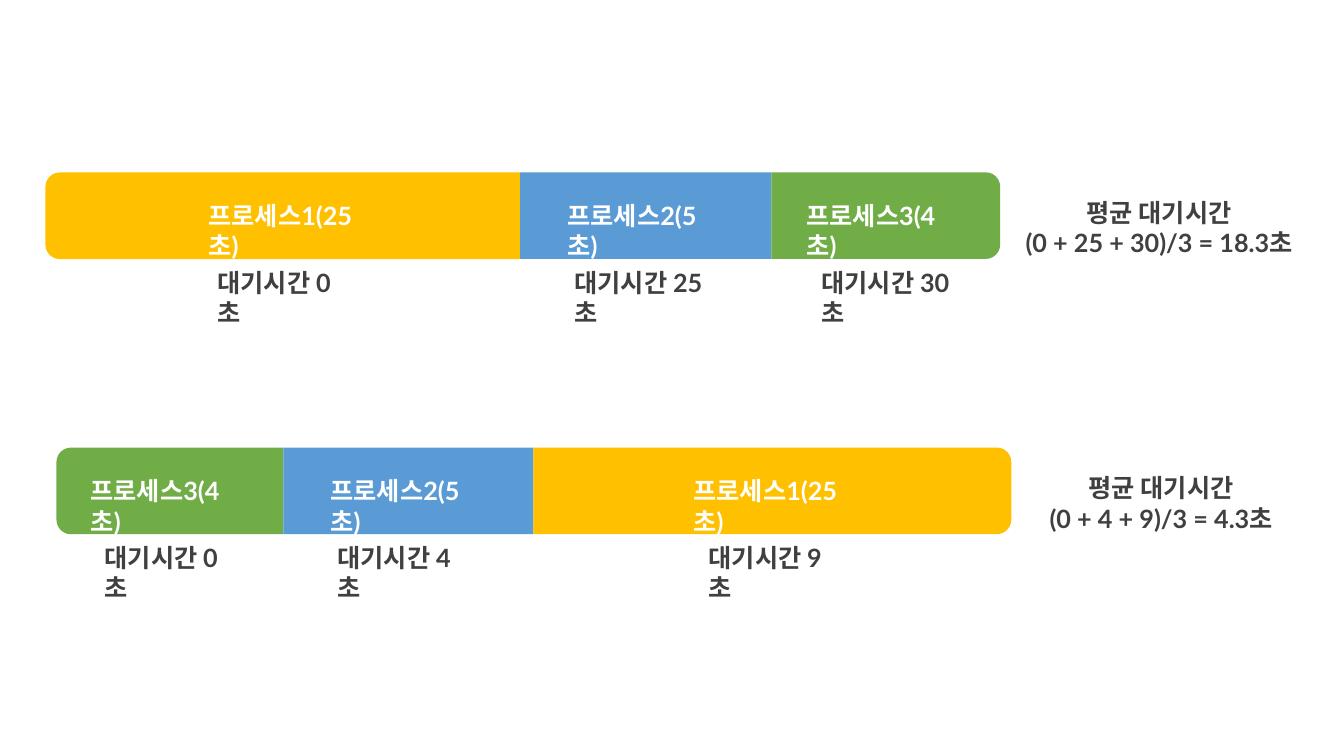
from pptx import Presentation
from pptx.dml.color import RGBColor
from pptx.enum.shapes import MSO_SHAPE as Preset
from pptx.enum.text import MSO_AUTO_SIZE as AutoSize, PP_ALIGN as Align
from pptx.util import Inches, Pt

# Every length is a number of square grid cells.
CELL = Inches(0.1)
BAR_HEIGHT = 8.6
LABEL_DROP, CAPTION_DROP = 2.3, 8.9
LABEL_WIDTH = 17.5
WHITE, GREY = "FFFFFF", "404040"
PROCESSES = {
    1: ("프로세스1(25초)", "FFC000"),
    2: ("프로세스2(5초)", "5B9BD5"),
    3: ("프로세스3(4초)", "70AD47"),
}

# Segments: process, width, label left, caption left, waiting seconds
SCHEDULES = [
    dict(left=4.5, top=17.1,
         segments=[(1, 47.1, 19.7, 20.6, 0),
                   (2, 24.9, 55.3, 56, 25),
                   (3, 22.7, 79, 80.5, 30)],
         summary="평균 대기시간\n(0 + 25 + 30)/3 = 18.3초",
         summary_left=100.7, summary_width=28.5, summary_drop=0.5),
    dict(left=5.6, top=44.4,
         segments=[(3, 22.5, 8, 9.4, 0),
                   (2, 24.8, 31.8, 32.5, 4),
                   (1, 47.4, 67.8, 69.3, 9)],
         summary="평균 대기시간\n(0 + 4 + 9)/3 = 4.3초",
         summary_left=102.7, summary_width=24.9, summary_drop=0.5),
]


def cells(*counts):
    return [round(count * CELL) for count in counts]


def color(hex_string):
    return RGBColor.from_string(hex_string)


def add_segment(slide, left, top, width, fill, rotation=None):
    """Add a plain segment, or one turned so that its rounded end faces outwards."""
    if rotation is None:
        shape = slide.shapes.add_shape(
            Preset.RECTANGLE, *cells(left, top, width, BAR_HEIGHT))
    else:
        shift = (width - BAR_HEIGHT) / 2
        shape = slide.shapes.add_shape(
            Preset.ROUND_2_SAME_RECTANGLE,
            *cells(left + shift, top - shift, BAR_HEIGHT, width))
        shape.rotation = rotation
    shape.shadow.inherit = False
    shape.fill.solid()
    shape.fill.fore_color.rgb = color(fill)
    shape.line.fill.background()


def add_text(slide, text, left, top, width, height=4, font_color=GREY):
    text_frame = slide.shapes.add_textbox(
        *cells(left, top, width, height)).text_frame
    text_frame.word_wrap = True
    text_frame.auto_size = AutoSize.SHAPE_TO_FIT_TEXT
    text_frame.text = text
    for paragraph in text_frame.paragraphs:
        for run in paragraph.runs:
            run.font.name = "Lato"
            run.font.size = Pt(18)
            run.font.bold = True
            run.font.color.rgb = color(font_color)
    return text_frame


def add_schedule(slide, left, top, segments, summary,
                 summary_left, summary_width, summary_drop):
    rotations = (270, None, 90)
    for segment, rotation in zip(segments, rotations):
        process, width, label_left, caption_left, seconds = segment
        label, fill = PROCESSES[process]
        add_segment(slide, left, top, width, fill, rotation)
        add_text(slide, label, label_left, top + LABEL_DROP, LABEL_WIDTH,
                 font_color=WHITE)
        caption_width = 14.8 if seconds < 10 else 16.1
        add_text(slide, f"대기시간 {seconds}초", caption_left,
                 top + CAPTION_DROP, caption_width)
        left += width
    text_frame = add_text(slide, summary, summary_left, top + summary_drop,
                          summary_width, BAR_HEIGHT)
    for paragraph in text_frame.paragraphs:
        paragraph.alignment = Align.CENTER
    text_frame.paragraphs[0].line_spacing = 1.5


def main():
    presentation = Presentation()
    presentation.slide_width = Inches(13.33)
    presentation.slide_height = Inches(7.5)
    slide = presentation.slides.add_slide(presentation.slide_layouts[6])
    for schedule in SCHEDULES:
        add_schedule(slide, **schedule)
    presentation.save("out.pptx")


if __name__ == "__main__":
    main()
